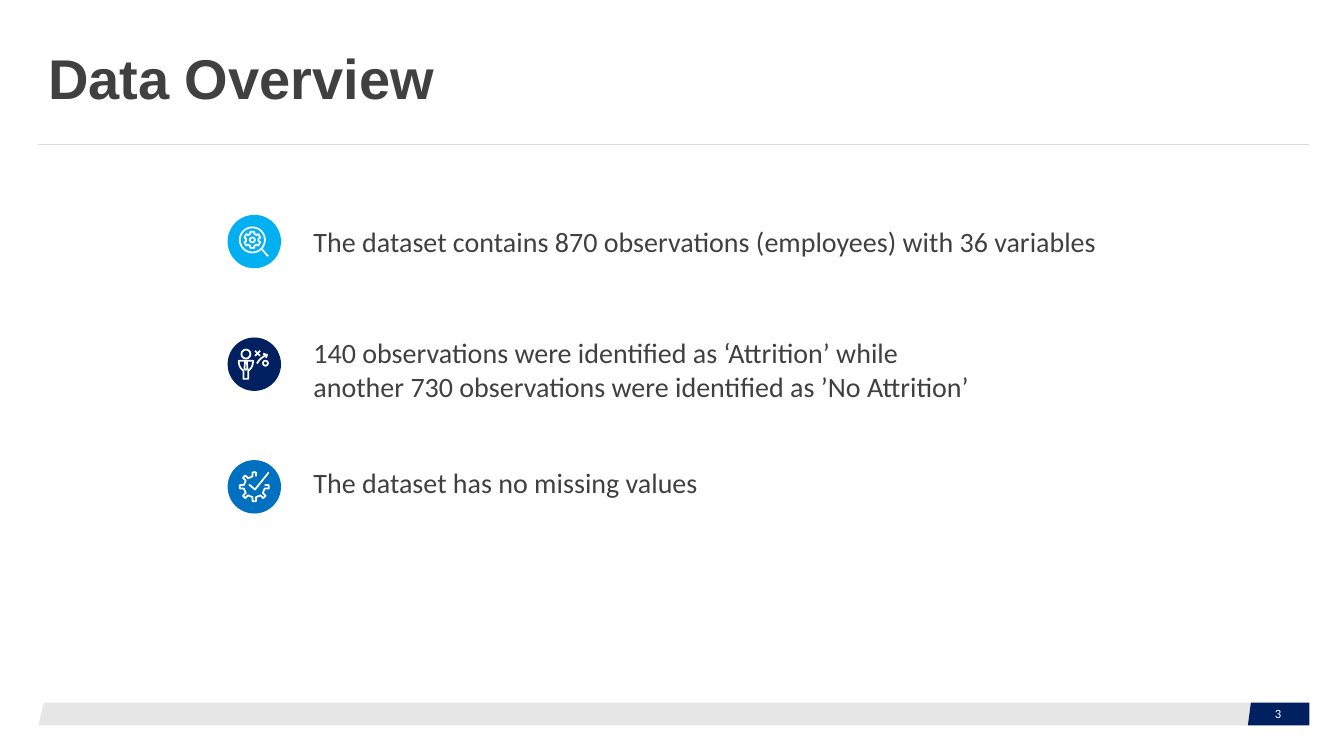
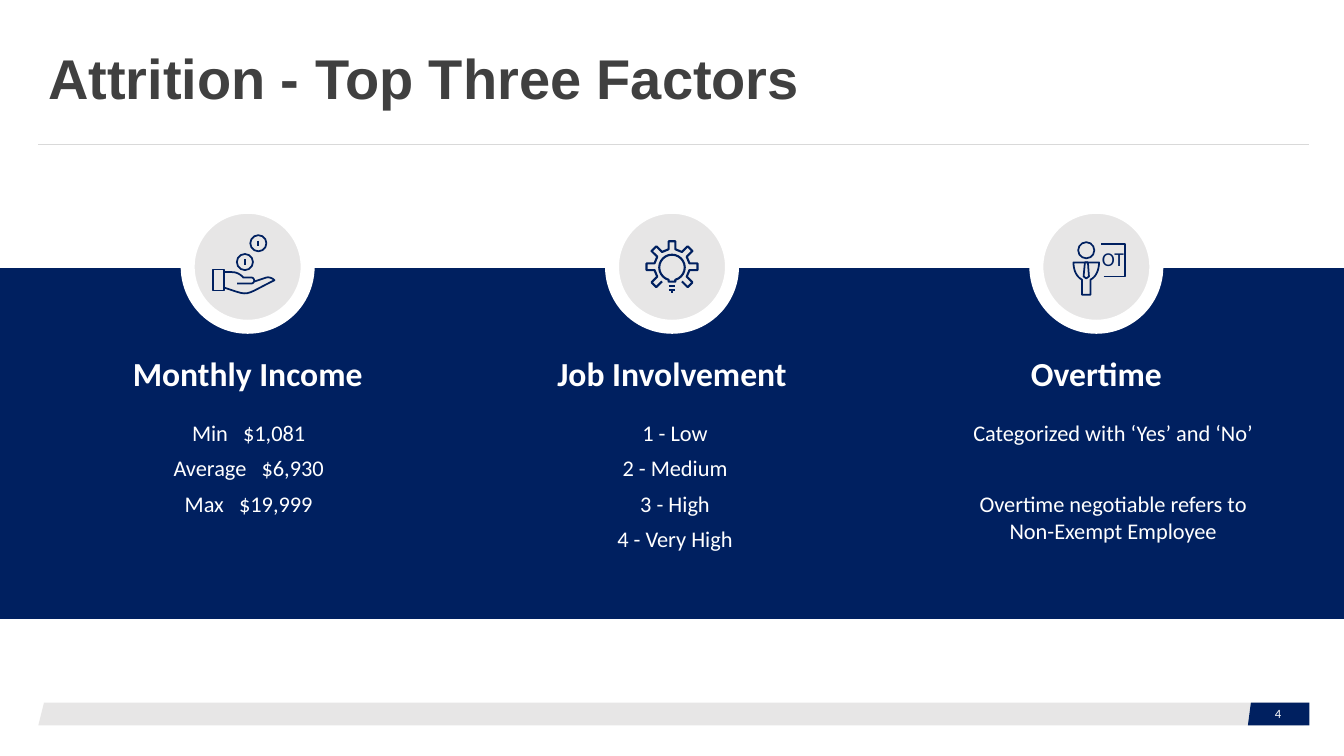
from math import cos, pi, sin, radians

from lxml.etree import SubElement
from pptx import Presentation
from pptx.dml.color import RGBColor
from pptx.enum.shapes import MSO_CONNECTOR as Connector, MSO_SHAPE as Shape
from pptx.enum.text import MSO_ANCHOR as Anchor, PP_ALIGN as Align
from pptx.oxml.ns import qn
from pptx.util import Emu, Pt

COLORS = {
    "navy": "002060", "blue": "0070C0", "sky": "00B0F0", "white": "FFFFFF",
    "ink": "404040", "pale": "E7E6E6", "rule": "D9D9D9",
}
COLUMNS, ROWS = 40, 22.5
CELL = 304800  # one square grid cell, a third of an inch
LEFT, RIGHT = 1.14, 38.97
FOOTER_TOP, FOOTER_HEIGHT = 20.91, 0.68


def cells(*lengths):
    return [Emu(round(length * CELL)) for length in lengths]


def rgb(name):
    return RGBColor.from_string(COLORS[name])


def write(frame, paragraphs, font="Calibri", size=16, color="ink", bold=False,
          align=Align.LEFT, before=0, spacing=None):
    """Fill a frame; a tuple is a label and its value, set apart by a wide space."""
    for index, content in enumerate(paragraphs):
        paragraph = frame.paragraphs[0] if index == 0 else frame.add_paragraph()
        paragraph.alignment = align
        paragraph.space_before = Pt(before)
        paragraph.line_spacing = spacing
        if isinstance(content, tuple):
            label, value = content
            pieces = [label, " ", value]
        else:
            pieces = content.split("\n")
        for position, piece in enumerate(pieces):
            if position and not isinstance(content, tuple):
                paragraph.add_line_break()
            run = paragraph.add_run()
            run.text = piece
            run.font.name, run.font.size = font, Pt(size)
            run.font.bold, run.font.color.rgb = bold, rgb(color)
            if piece == " ":
                run.font._element.set("spc", str(round(size * 45)))


class Deck:
    """Holds the style and the current slide; all lengths are grid cells.

    Positions are counted from origin, so that an icon can be drawn anywhere.
    """

    def __init__(self):
        self.prs = Presentation()
        self.prs.slide_width, self.prs.slide_height = cells(COLUMNS, ROWS)
        self.shapes = None

    def new_slide(self, title, number):
        self.shapes = self.prs.slides.add_slide(self.prs.slide_layouts[6]).shapes
        width, bottom = RIGHT - LEFT, FOOTER_TOP + FOOTER_HEIGHT
        self.shape(Shape.PARALLELOGRAM, LEFT, FOOTER_TOP, width, FOOTER_HEIGHT, fill="pale")
        self.outline([(37.23, FOOTER_TOP), (RIGHT, FOOTER_TOP), (RIGHT, bottom),
                      (37.14, bottom)], close=True, fill="navy")
        self.segment((LEFT, 4.29), (RIGHT, 4.29), line="rule", weight=0.5)
        self.text([title], LEFT, 1.2, width, 2.43, inset=True, anchor=Anchor.MIDDLE,
                  font="Arial", size=40, bold=True, spacing=0.9)
        self.text([str(number)], 37.44, 20.85, 1.2, 0.78, inset=True,
                  anchor=Anchor.MIDDLE, size=9, color="white", align=Align.CENTER)

    def paint(self, shape, fill, line, weight):
        shape.shadow.inherit = False
        if fill:
            shape.fill.solid()
            shape.fill.fore_color.rgb = rgb(fill)
        else:
            shape.fill.background()
        if line:
            shape.line.color.rgb, shape.line.width = rgb(line), Pt(weight)
        else:
            shape.line.fill.background()

    def shape(self, kind, x, y, width, height, origin=(0, 0), fill=None, line=None, weight=1):
        box = cells(origin[0] + x, origin[1] + y, width, height)
        self.paint(self.shapes.add_shape(kind, *box), fill, line, weight)

    def circle(self, x, y, diameter, **style):
        self.shape(Shape.OVAL, x - diameter / 2, y - diameter / 2, diameter, diameter, **style)

    def outline(self, points, origin=(0, 0), close=False, fill=None, line=None, weight=1):
        start, *rest = [cells(origin[0] + x, origin[1] + y) for x, y in points]
        builder = self.shapes.build_freeform(*start)
        builder.add_line_segments(rest, close=close)
        self.paint(builder.convert_to_shape(), fill, line, weight)

    def segment(self, start, end, origin=(0, 0), line="rule", weight=1):
        ends = [origin[i % 2] + value for i, value in enumerate(start + end)]
        connector = self.shapes.add_connector(Connector.STRAIGHT, *cells(*ends))
        connector.line.color.rgb, connector.line.width = rgb(line), Pt(weight)
        SubElement(connector._element.spPr, qn("a:effectLst"))

    def text(self, paragraphs, x, y, width, height, origin=(0, 0), inset=False,
             anchor=Anchor.TOP, **style):
        box = cells(origin[0] + x, origin[1] + y, width, height)
        frame = self.shapes.add_textbox(*box).text_frame
        frame.word_wrap, frame.vertical_anchor = True, anchor
        if not inset:
            frame.margin_left = frame.margin_right = 0
            frame.margin_top = frame.margin_bottom = 0
        write(frame, paragraphs, **style)


def curve(a, b, c, d, steps=10):
    """Points along a cubic curve from a to d with the handles b and c."""
    shares = [step / steps for step in range(steps + 1)]
    return [tuple((1 - t) ** 3 * p + 3 * t * (1 - t) ** 2 * q + 3 * t * t * (1 - t) * r
                  + t ** 3 * s for p, q, r, s in zip(a, b, c, d)) for t in shares]


def gear(teeth, base, tip, half, center=(0, 0), missing=None):
    """Outline of a gear, teeth counted clockwise from the top; one may be missing."""
    turns = range(teeth) if missing is None else range(missing + 1, missing + teeth)
    points = []
    for turn in turns:
        angle = 2 * pi * turn / teeth
        for side, radius in ((-half, base), (-half, tip), (half, tip), (half, base)):
            points.append((center[0] + side * cos(angle) + radius * sin(angle),
                           center[1] + side * sin(angle) - radius * cos(angle)))
    return points


def person(deck, x, y, scale, pen):
    def scaled(points):
        return [(x + px * scale, y + py * scale) for px, py in points]

    arm = curve((-0.38, 0), (-0.38, 0.27), (-0.26, 0.45), (-0.13, 0.51))
    left_side = arm + [(-0.13, 0.96)]
    right_side = [(-px, py) for px, py in reversed(left_side)]
    tie = [(0.05, 0), (-0.04, 0), (-0.08, 0.42), (0, 0.48), (0.08, 0.42)]
    deck.circle(x, y - 0.36 * scale, 0.48 * scale, **pen)
    deck.outline(scaled(left_side + right_side), close=True, **pen)
    deck.outline(scaled(tie), close=True, **pen)


def search_icon(deck, pen):
    lens = (-0.06, -0.05)
    deck.circle(*lens, 0.75, **pen)
    deck.segment((0.2, 0.2), (0.41, 0.44), **pen)
    deck.outline(gear(6, 0.18, 0.24, 0.06, lens), close=True, **pen)
    deck.circle(*lens, 0.15, **pen)


def attrition_icon(deck, pen):
    person(deck, -0.25, -0.1, 0.56, pen)
    deck.segment((0.02, -0.4), (0.17, -0.25), **pen)
    deck.segment((0.17, -0.4), (0.02, -0.25), **pen)
    deck.circle(0.33, -0.03, 0.15, **pen)
    deck.outline(curve((0.08, -0.02), (0.14, -0.14), (0.26, -0.23), (0.38, -0.28)), **pen)
    deck.outline([(0.26, -0.31), (0.38, -0.28), (0.35, -0.19)], **pen)


def check_icon(deck, pen):
    deck.outline(gear(8, 0.31, 0.43, 0.05, missing=1), **pen)
    deck.outline([(0.43, -0.43), (0.02, 0.08), (-0.16, -0.07)], **pen)


def income_icon(deck, pen):
    palm = (curve((-0.7, 0.62), (0.1, 0.88), (-0.16, 0.88), (0.8, 0.4))
            + curve((0.8, 0.4), (0.7, 0.31), (0.62, 0.31), (0.56, 0.32)) + [(0.2, 0.44)])
    fingers = ([(-0.7, 0.16)] + curve((-0.46, 0.16), (-0.28, 0.16), (-0.16, 0.28), (-0.13, 0.32))
               + curve((0.1, 0.32), (0.23, 0.32), (0.23, 0.5), (0.1, 0.5)) + [(-0.31, 0.5)])
    deck.shape(Shape.RECTANGLE, -1.03, 0.08, 0.33, 0.63, **pen)
    deck.outline(palm, **pen)
    deck.outline(fingers, **pen)
    for x, y in ((0.32, -0.7), (-0.08, -0.14)):
        deck.circle(x, y, 0.48, **pen)
        deck.segment((x, y - 0.08), (x, y + 0.08), **pen)


def involvement_icon(deck, pen):
    pen = {**pen, "weight": 1.5}
    bulb = [(0.38 * sin(radians(a)), 0.02 - 0.38 * cos(radians(a)))
            for a in range(195, 526, 15)]
    deck.outline(gear(8, 0.52, 0.76, 0.1, missing=4), **pen)
    deck.outline(bulb + [(0.1, 0.44), (-0.1, 0.44)], close=True, **pen)
    for y in (0.56, 0.7):
        deck.segment((-0.1, y), (0.1, y), **pen)
    deck.segment((0, 0.7), (0, 0.77), **pen)


def overtime_icon(deck, pen):
    person(deck, -0.3, -0.13, 1, pen)
    deck.outline([(0.22, 0.29), (0.86, 0.29), (0.86, -0.68), (0.13, -0.68)], **pen)
    deck.text(["OT"], -0.13, -0.74, 1.65, 1.02, origin=pen["origin"], inset=True,
              size=14, color="navy")


def overview_slide(deck):
    deck.new_slide("Data Overview", 3)
    findings = [
        ("The dataset contains 870 observations (employees) with 36 variables",
         6.68, 25.74, "sky", search_icon),
        ("140 observations were identified as ‘Attrition’ while another 730 "
         "observations were identified as ’No Attrition’",
         9.99, 19.8, "navy", attrition_icon),
        ("The dataset has no missing values", 13.86, 19.8, "blue", check_icon),
    ]
    for row, (finding, top, width, color, icon) in enumerate(findings):
        center = (7.57, 7.19 + 3.65 * row)
        deck.circle(*center, 1.59, fill=color)
        icon(deck, {"origin": center, "line": "white", "weight": 1.25})
        deck.text([finding], 9.33, top, width, 1.23, size=20, before=6)


def factors_slide(deck):
    deck.new_slide("Attrition - Top Three Factors", 4)
    deck.shape(Shape.RECTANGLE, 0, 7.98, COLUMNS, 10.44, fill="navy")
    factors = [
        ("Monthly Income", [("Min", "$1,081"), ("Average", "$6,930"), ("Max", "$19,999")],
         0.03, 6, income_icon),
        ("Job Involvement", ["1 - Low", "2 - Medium", "3 - High", "4 - Very High"],
         0.09, 6, involvement_icon),
        ("Overtime", ["Categorized with ‘Yes’ and ‘No’",
                      "Overtime negotiable refers to\nNon-Exempt Employee"],
         0.5, 31.5, overtime_icon),
    ]
    on_band = {"color": "white", "align": Align.CENTER}
    for column, (heading, details, shift, before, icon) in enumerate(factors):
        center = (COLUMNS / 2 + 12.63 * (column - 1), 7.94)
        left = center[0] - 5
        deck.circle(*center, 3.57, fill="pale", line="white", weight=10)
        icon(deck, {"origin": center, "line": "navy", "weight": 1.25})
        deck.text([heading], left, 10.5, 10, 1.2, size=24, bold=True, **on_band)
        deck.text(details, left + shift, 12.48, 10, 4.8, before=before, **on_band)


def main():
    deck = Deck()
    overview_slide(deck)
    factors_slide(deck)
    deck.prs.save("out.pptx")


if __name__ == "__main__":
    main()
